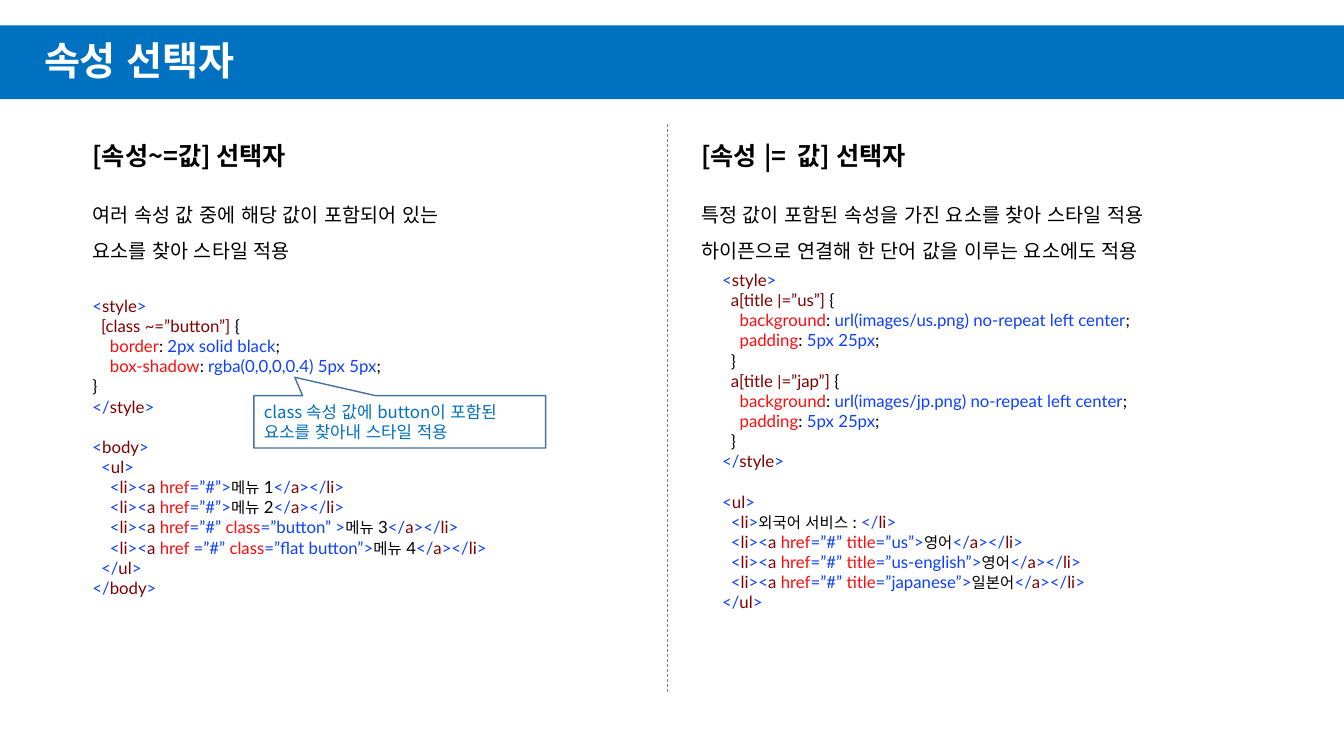
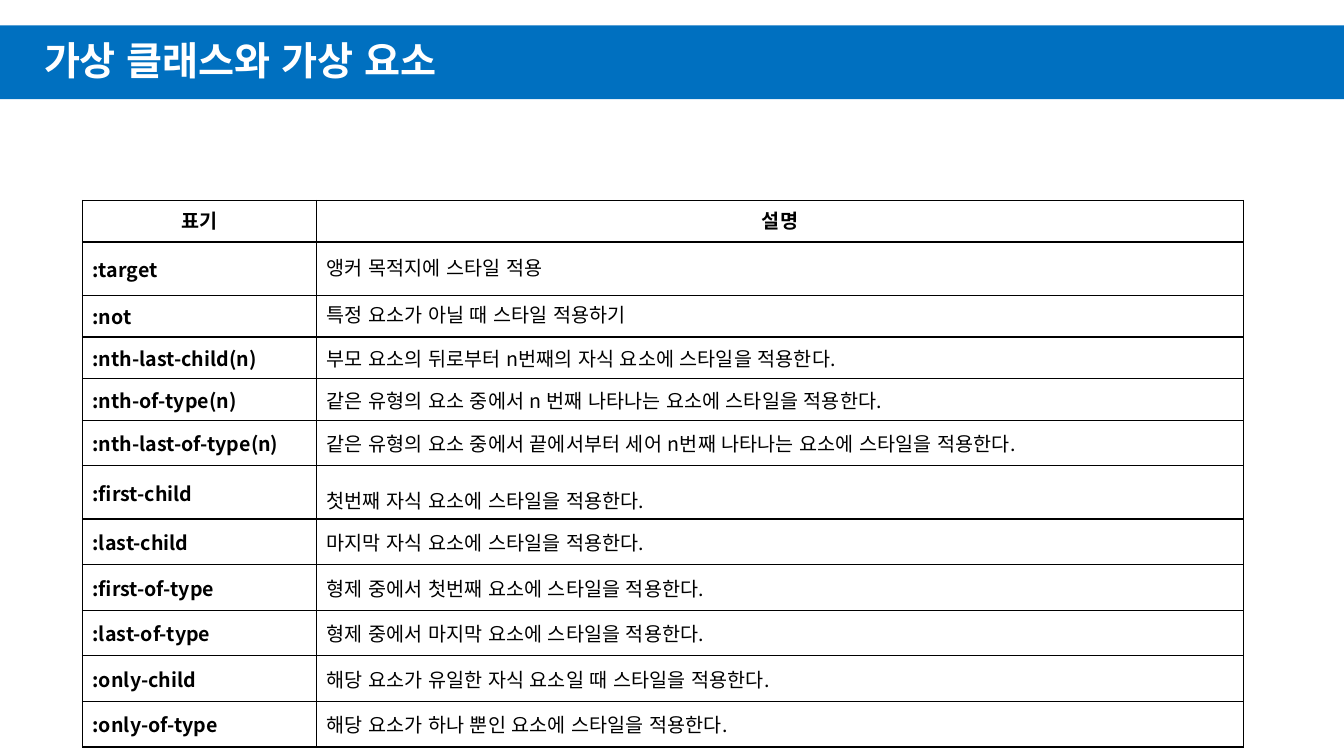
from lxml.etree import SubElement
from pptx import Presentation
from pptx.dml.color import RGBColor
from pptx.enum.dml import MSO_LINE_DASH_STYLE as Dash
from pptx.enum.shapes import MSO_CONNECTOR as Connector, MSO_SHAPE as Shape
from pptx.enum.text import MSO_ANCHOR as Anchor, PP_ALIGN as Align
from pptx.oxml.ns import qn
from pptx.util import Cm, Pt

COLORS = {
    "band": "0070C0", "white": "FFFFFF", "black": "000000", "divider": "7F7F7F",
    "callout_line": "43739E", "symbol": "0D40FF", "name": "800000", "property": "FF0D0D",
}
KOREAN = "Noto Sans CJK KR"
EAST_ASIAN = "Arial"
CODE = "Lato"
WIDTH, HEIGHT = 33.87, 19.05
INDENT = 0.22
CODE_LINE = 14.4

MARKS = {
    "^": {"color": "symbol"},
    "@": {"color": "name"},
    "!": {"color": "property"},
    "$": {"color": "black"},
    "&": {"color": "name", "font": "Roboto"},
    "%": {"color": "black", "font": "Arial", "size": 11},
}

TABLE_ROWS = [
    ("표기", "설명"),
    (":target", "앵커 목적지에 스타일 적용"),
    (":not", "특정 요소가 아닐 때 스타일 적용하기"),
    (":nth-last-child(n)", "부모 요소의 뒤로부터 n번째의 자식 요소에 스타일을 적용한다."),
    (":nth-of-type(n)", "같은 유형의 요소 중에서 n 번째 나타나는 요소에 스타일을 적용한다."),
    (":nth-last-of-type(n)",
     "같은 유형의 요소 중에서 끝에서부터 세어 n번째 나타나는 요소에 스타일을 적용한다."),
    (":first-child", "첫번째 자식 요소에 스타일을 적용한다."),
    (":last-child", "마지막 자식 요소에 스타일을 적용한다."),
    (":first-of-type", "형제 중에서 첫번째 요소에 스타일을 적용한다."),
    (":last-of-type", "형제 중에서 마지막 요소에 스타일을 적용한다."),
    (":only-child", "해당 요소가 유일한 자식 요소일 때 스타일을 적용한다."),
    (":only-of-type", "해당 요소가 하나 뿐인 요소에 스타일을 적용한다."),
]
LOOSE_ROWS = (1, 6)


def rgb(name):
    """Return the palette colour with this name."""
    return RGBColor.from_string(COLORS[name])


def add_span(para, text, size=12, font=KOREAN, color="black", bold=False):
    """Append one formatted run to a paragraph."""
    span = para.add_run()
    span.text = text
    span.font.size = Pt(size)
    span.font.name = font
    span.font.bold = bold
    span.font.color.rgb = rgb(color)
    SubElement(span.font._element, qn("a:ea")).set("typeface", EAST_ASIAN)


def write(frame, lines, spacing=None, align=Align.LEFT, anchor=Anchor.TOP, **style):
    """Fill a text frame with one paragraph per line."""
    frame.word_wrap = True
    frame.vertical_anchor = anchor
    for index, line in enumerate(lines):
        para = frame.paragraphs[0] if index == 0 else frame.add_paragraph()
        para.alignment = align
        para.line_spacing = spacing
        add_span(para, line, **style)


def add_box(page, left, top, width, height):
    """Add a text box and return its frame."""
    box = page.shapes.add_textbox(Cm(left), Cm(top), Cm(width), Cm(height))
    return box.text_frame


def add_panel(page, kind, left, top, width, height, fill, line=None):
    """Add a flat filled shape with an optional outline."""
    panel = page.shapes.add_shape(kind, Cm(left), Cm(top), Cm(width), Cm(height))
    panel.shadow.inherit = False
    panel.fill.solid()
    panel.fill.fore_color.rgb = rgb(fill)
    if line:
        panel.line.color.rgb = rgb(line)
        panel.line.width = Pt(1)
    else:
        panel.line.fill.background()
    return panel


def add_page(deck, title):
    """Add a blank slide with the title band."""
    page = deck.slides.add_slide(deck.slide_layouts[6])
    top, height = 0.64, 1.86
    add_panel(page, Shape.RECTANGLE, 0, top, WIDTH, height, "band")
    write(add_box(page, 0.86, top, 25.25, height), [title], spacing=0.9,
          anchor=Anchor.MIDDLE, size=28, font="Arial", color="white", bold=True)
    return page


def opening(name):
    """Return a marked opening tag."""
    return f"^<@{name}^>"


def closing(name):
    """Return a marked closing tag."""
    return f"^</@{name}^>"


def declaration(prop, value):
    """Return a marked style declaration."""
    return f"!{prop}$: ^{value}$;"


def link_item(attributes, label):
    """Return a marked list item holding a link."""
    return f"^<@li^><@a {attributes}^>{label}" + closing("a") + closing("li")


def flag_rule(title, picture):
    """Return the code lines that style one link title."""
    return [
        (1, f"@a[title &|@=”{title}”] " + "${"),
        (2, declaration("background", f"url(images/{picture}.png) no-repeat left center")),
        (2, declaration("padding", "5px 25px")),
        (1, "$}"),
    ]


def add_marked(para, marked):
    """Append runs whose colours follow the marks in the text."""
    mark, text = "$", ""
    for letter in marked + "$":
        if letter not in MARKS:
            text += letter
            continue
        if text:
            add_span(para, text, **{"font": CODE, **MARKS[mark]})
        mark, text = letter, ""


def add_code(page, left, top, width, blocks):
    """Add code blocks set one empty line apart."""
    lines = sum(len(block) for block in blocks) + len(blocks) - 1
    frame = add_box(page, left, top, width, 0.25 + lines * CODE_LINE / 72 * 2.54)
    frame.word_wrap = True
    para = frame.paragraphs[0]
    for number, block in enumerate(blocks):
        for row, (level, marked) in enumerate(block):
            if number or row:
                para = frame.add_paragraph()
            if number and row == 0:
                para.space_before = Pt(CODE_LINE)
            para._p.get_or_add_pPr().set("marL", str(Cm(level * INDENT)))
            add_marked(para, marked)


def add_column(page, left, heading, description, width, code_shift, code_top, blocks):
    """Add a heading, its description and its code sample."""
    write(add_box(page, left, 3.4, 7.65, 1.02), [heading], size=18, bold=True)
    write(add_box(page, left, 4.7, width, 2.06), description, spacing=1.5,
          size=14, font="Arial")
    add_code(page, left + code_shift, code_top, width + 1.55, blocks)


def add_callout(page, left, top, width, height, text):
    """Add the speech box that explains the sample."""
    callout = add_panel(page, Shape.RECTANGULAR_CALLOUT, left, top, width, height,
                        "white", "callout_line")
    callout.adjustments[0] = -0.36
    callout.adjustments[1] = -0.85
    write(callout.text_frame, [text], anchor=Anchor.MIDDLE, color="band")


def add_divider(page, left, top, bottom):
    """Add the dashed rule between the columns."""
    rule = page.shapes.add_connector(Connector.STRAIGHT, Cm(left), Cm(top),
                                     Cm(left), Cm(bottom))
    rule.line.color.rgb = rgb("divider")
    rule.line.width = Pt(0.5)
    rule.line.dash_style = Dash.DASH
    SubElement(rule._element.spPr, qn("a:effectLst"))


def format_cell(cell):
    """Give a table cell black borders and a white fill."""
    properties = cell._tc.get_or_add_tcPr()
    for side in ("lnL", "lnR", "lnT", "lnB"):
        border = SubElement(properties, qn(f"a:{side}"), w=str(Pt(1)))
        fill = SubElement(border, qn("a:solidFill"))
        SubElement(fill, qn("a:srgbClr"), val=COLORS["black"])
    cell.fill.solid()
    cell.fill.fore_color.rgb = rgb("white")


def row_height(index):
    """Return the height of a table row."""
    if index in LOOSE_ROWS:
        return 1.34
    return 1.05 if index < 5 else 1.15


def add_selector_table(page, left, top, widths, rows):
    """Add the table of selectors and their meanings."""
    heights = [row_height(index) for index in range(len(rows))]
    table = page.shapes.add_table(len(rows), len(widths), Cm(left), Cm(top),
                                  Cm(sum(widths)), Cm(sum(heights))).table
    table.first_row = table.horz_banding = False
    for column, width in zip(table.columns, widths):
        column.width = Cm(width)
    for index, (row, height) in enumerate(zip(rows, heights)):
        table.rows[index].height = Cm(height)
        for place, text in enumerate(row):
            cell = table.cell(index, place)
            format_cell(cell)
            cell.vertical_anchor = Anchor.MIDDLE
            para = cell.text_frame.paragraphs[0]
            para.alignment = Align.CENTER if index == 0 else Align.LEFT
            if place and index in LOOSE_ROWS:
                para.line_spacing = 1.5
                cell.vertical_anchor = Anchor.TOP
            add_span(para, text, size=14, bold=index == 0 or place == 0)


def build_attribute_page(deck):
    """Build the slide that compares two attribute selectors."""
    page = add_page(deck, "속성 선택자")
    button_style = [
        (0, opening("style")),
        (1, "@[class ~=”button”] ${"),
        (2, declaration("border", "2px solid black")),
        (2, declaration("box-shadow", "rgba(0,0,0,0.4) 5px 5px")),
        (0, "$}"),
        (0, closing("style")),
    ]
    menu_attributes = ["!href^=”#”", "!href^=”#”", "!href^=”#”! class^=”button” ",
                       "!href ^=”#” !class^=”flat button”"]
    menu = [
        (0, opening("body")),
        (1, opening("ul")),
        *[(2, link_item(attributes, f"%메뉴 ${number}"))
          for number, attributes in enumerate(menu_attributes, 1)],
        (1, closing("ul")),
        (0, closing("body")),
    ]
    add_column(page, 2.08, "[속성~=값] 선택자",
               ["여러 속성 값 중에 해당 값이 포함되어 있는", "요소를 찾아 스타일 적용"],
               10.75, 0, 7.32, [button_style, menu])
    add_callout(page, 6.4, 9.97, 7.35, 1.32,
                "class 속성 값에 button이 포함된 요소를 찾아내 스타일 적용")
    add_divider(page, 16.82, 3.12, 17.48)
    flag_style = [
        (0, opening("style")),
        *flag_rule("us", "us"),
        *flag_rule("jap", "jp"),
        (0, closing("style")),
    ]
    languages = [("us", "영어"), ("us-english", "영어"), ("japanese", "일본어")]
    services = [
        (0, opening("ul")),
        (1, opening("li") + "%외국어 서비스 $: " + closing("li")),
        *[(1, link_item(f"!href^=”#” !title^=”{title}”", f"%{label}"))
          for title, label in languages],
        (0, closing("ul")),
    ]
    add_column(page, 17.42, "[속성 |=  값] 선택자",
               ["특정 값이 포함된 속성을 가진 요소를 찾아 스타일 적용",
                "하이픈으로 연결해 한 단어 값을 이루는 요소에도 적용"],
               14.1, 0.53, 6.67, [flag_style, services])


def build_table_page(deck):
    """Build the slide that lists pseudo selectors."""
    page = add_page(deck, "가상 클래스와 가상 요소")
    add_selector_table(page, 2.08, 5.05, (5.9, 23.36), TABLE_ROWS)


def main():
    """Build and save the deck."""
    deck = Presentation()
    deck.slide_width, deck.slide_height = Cm(WIDTH), Cm(HEIGHT)
    build_attribute_page(deck)
    build_table_page(deck)
    deck.save("out.pptx")


if __name__ == "__main__":
    main()
